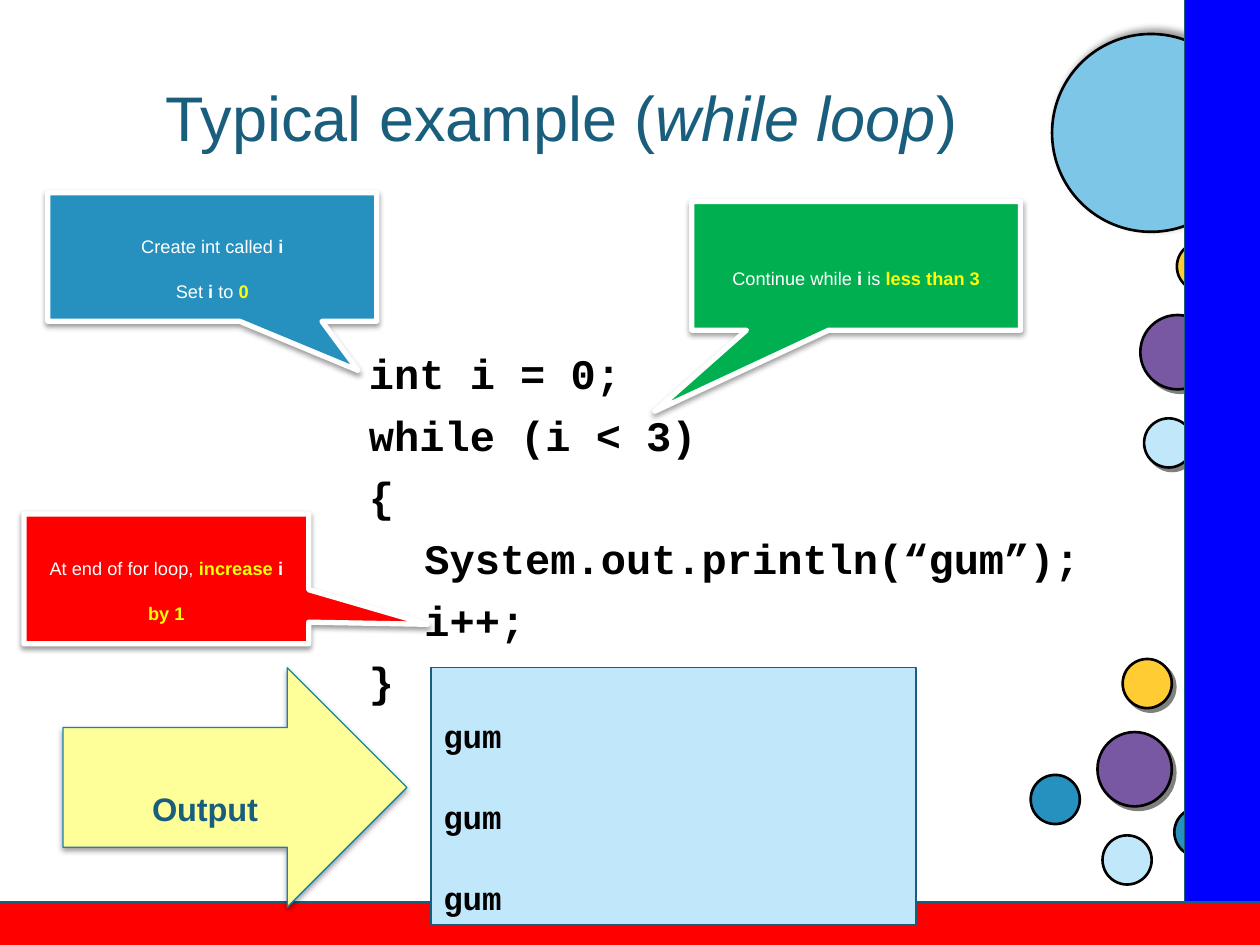
from lxml.etree import SubElement
from pptx import Presentation
from pptx.dml.color import RGBColor
from pptx.enum.shapes import MSO_SHAPE as Shape
from pptx.enum.text import MSO_ANCHOR as Anchor, PP_ALIGN as Align
from pptx.oxml.ns import qn
from pptx.util import Inches, Pt

COLORS = {
    "black": "000000", "white": "FFFFFF", "gray": "808080", "red": "FF0000",
    "blue": "0000FF", "green": "00B050", "yellow": "FFFF00", "cream": "FFFF99",
    "gold": "FFCC33", "purple": "7958A3", "ocean": "2691BF", "ice": "C0E7FA",
    "sky": "7EC6E7", "teal": "195E7D", "edge": "1D81AD",
}
# colour, opacity %, blur pt, distance pt, direction in degrees
DROP = ("gray", 100, 0, 2.8, 45)
GLOW = ("black", 40, 4, 3, 315)
SOFT = ("black", 38, 3.1, 1.6, 90)
SUBSCRIPT = -33000


def rgb(name):
    """Return the named colour."""
    return RGBColor.from_string(COLORS[name])


class SlideBuilder:
    """Holds the style and the current slide."""

    sans, mono = "Arial", "Courier New"

    def __init__(self, page):
        self.page = page

    def shadow(self, shape, color, opacity, blur, distance, angle):
        """Give a shape an outer shadow."""
        effects = shape._element.spPr.find(qn("a:effectLst"))
        outer = SubElement(effects, qn("a:outerShdw"), blurRad=str(Pt(blur)),
                           dist=str(Pt(distance)), dir=str(angle * 60000),
                           algn="ctr", rotWithShape="0")
        tint = SubElement(outer, qn("a:srgbClr"), val=COLORS[color])
        SubElement(tint, qn("a:alpha"), val=str(opacity * 1000))

    def shape(self, kind, at, fill, line="teal", width=0.75, shadow=None):
        """Add a filled and outlined preset shape."""
        shape = self.page.shapes.add_shape(kind, *map(Inches, at))
        shape.shadow.inherit = False
        shape.fill.solid()
        shape.fill.fore_color.rgb = rgb(fill)
        shape.line.color.rgb = rgb(line)
        shape.line.width = Pt(width)
        if shadow:
            self.shadow(shape, *shadow)
        return shape

    def circle(self, left, top, size, fill, shadow=None):
        """Add a decorative circle."""
        self.shape(Shape.OVAL, (left, top, size, size), fill, "black", 1.5, shadow)

    def fill_text(self, frame, lines, size, font, align, anchor, subscript=False):
        """Fill a frame; each line lists (text, colour, bold, italic) spans."""
        frame.word_wrap = True
        frame.vertical_anchor = anchor
        for number, line in enumerate(lines):
            para = frame.add_paragraph() if number else frame.paragraphs[0]
            para.alignment = align
            for text, color, bold, italic in line:
                span = para.add_run()
                span.text = text
                span.font.name, span.font.size = font, Pt(size)
                span.font.bold, span.font.italic = bold, italic
                span.font.color.rgb = rgb(color)
                if subscript:
                    span.font._element.set("baseline", str(SUBSCRIPT))

    def title(self, at, spans):
        """Place and format the title placeholder."""
        title = self.page.shapes.title
        title.left, title.top, title.width, title.height = map(Inches, at)
        self.fill_text(title.text_frame, [spans], 36, self.sans, Align.CENTER, Anchor.MIDDLE)

    def code(self, at, lines):
        """Add a program listing of (level, text) lines."""
        frame = self.page.shapes.add_textbox(*map(Inches, at)).text_frame
        spans = [[(text, "black", True, False)] for _, text in lines]
        self.fill_text(frame, spans, 24, self.mono, Align.LEFT, Anchor.TOP)
        for para, (level, _) in zip(frame.paragraphs, lines):
            para.space_before = Pt(6.4)
            if level:
                para.level = level
                para._p.get_or_add_pPr().set("marL", str(Inches(0.44 * level)))

    def callout(self, at, tip, fill, lines):
        """Add a speech callout whose tip is relative to its centre."""
        shape = self.shape(Shape.RECTANGULAR_CALLOUT, at, fill, "white", 3, SOFT)
        shape.adjustments[0], shape.adjustments[1] = tip
        self.fill_text(shape.text_frame, lines, 18, self.sans, Align.CENTER,
                       Anchor.MIDDLE, subscript=True)


def plain(text):
    """Return a white span."""
    return text, "white", False, False


def strong(text, color="white"):
    """Return a bold span."""
    return text, color, True, False


deck = Presentation()
deck.slide_width, deck.slide_height = Inches(10), Inches(7.5)
slide = SlideBuilder(deck.slides.add_slide(deck.slide_layouts[5]))

SMALL, MEDIUM, LARGE = 0.39, 0.59, 1.57
for circle in (
    (8.91, 5.23, SMALL, "gold", DROP),
    (8.71, 5.81, MEDIUM, "purple", DROP),
    (8.18, 6.15, SMALL, "ocean"),
    (9.49, 5.92, SMALL, "gold", DROP),
    (8.75, 6.63, SMALL, "ice"),
    (9.32, 6.41, SMALL, "ocean"),
    (8.35, 0.27, LARGE, "sky", GLOW),
    (9.34, 1.92, SMALL, "gold", DROP),
    (9.05, 2.5, MEDIUM, "purple", DROP),
    (9.08, 3.32, SMALL, "ice", DROP),
    (9.65, 3.09, SMALL, "ocean", DROP),
):
    slide.circle(*circle)
slide.shape(Shape.RECTANGLE, (9.4, -0.12, 0.85, 8.15), "blue")
slide.shape(Shape.RECTANGLE, (-0.2, 7.16, 11.07, 0.61), "red")

slide.title((0.5, 0.3, 7.91, 1.25), [
    ("Typical example (", "teal", False, False),
    ("while loop", "teal", False, True),
    (")", "teal", False, False),
])
slide.code((2.83, 2.71, 5.93, 4.15), [
    (0, "int i = 0;"),
    (0, "while (i < 3)"),
    (0, "{"),
    (1, "System.out.println(“gum”);"),
    (1, "i++;"),
    (0, "}"),
])

arrow = slide.shape(Shape.RIGHT_ARROW, (0.5, 5.3, 2.73, 1.9), "cream", "edge", shadow=SOFT)
slide.fill_text(arrow.text_frame, [[strong("Output", "teal")]], 32, slide.sans,
                Align.CENTER, Anchor.MIDDLE, subscript=True)
output = slide.shape(Shape.RECTANGLE, (3.42, 5.3, 3.85, 2.04), "ice")
slide.fill_text(output.text_frame, [[strong("gum", "black")]] * 3, 32, slide.mono,
                Align.LEFT, Anchor.TOP, subscript=True)

slide.callout((0.38, 1.53, 2.61, 1.02), (0.444, 0.883), "ocean", [
    [plain("Create int called "), strong("i")],
    [plain("Set "), strong("i "), plain("to "), strong("0", "yellow")],
])
slide.callout((5.49, 1.6, 2.61, 1.02), (-0.612, 1.131), "green", [
    [plain("Continue while "), strong("i"), plain(" is "), strong("less than 3", "yellow")],
])
slide.callout((0.19, 4.08, 2.26, 1.03), (0.917, 0.35), "red", [
    [plain("At end of for loop, "), strong("increase", "yellow"), strong(" i "),
     strong("by 1", "yellow")],
])

deck.save("out.pptx")
